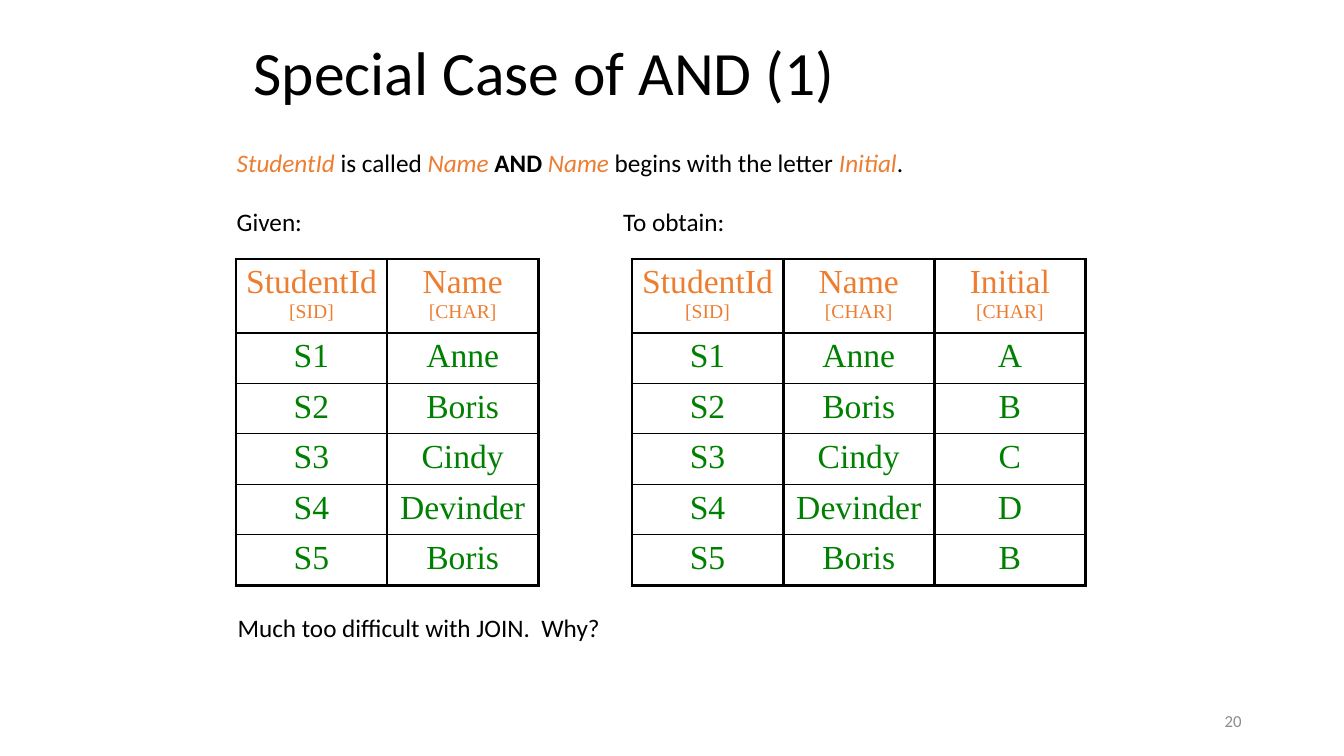
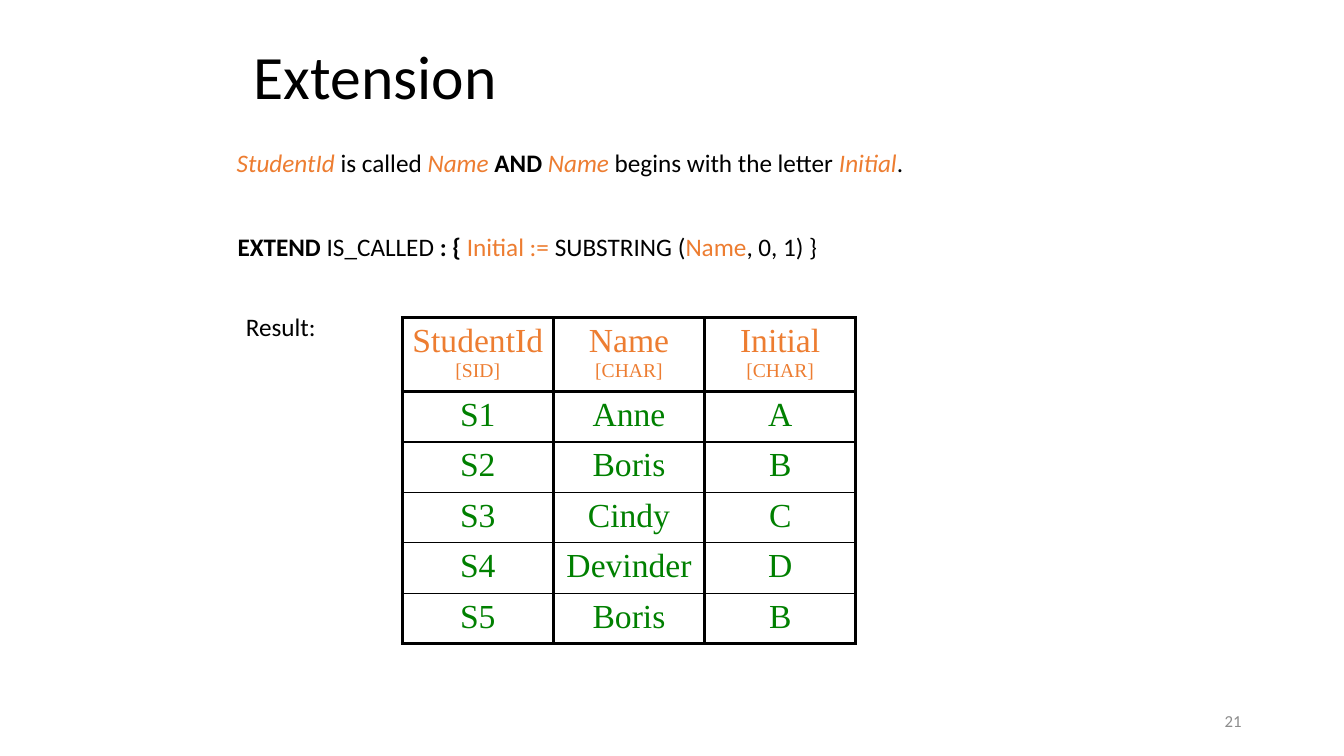
from dataclasses import dataclass
from typing import Any, NamedTuple

from pptx import Presentation
from pptx.dml.color import RGBColor
from pptx.enum.text import MSO_ANCHOR, MSO_AUTO_SIZE, PP_ALIGN
from pptx.oxml.ns import qn
from pptx.util import Length, Pt
from lxml.etree import SubElement

# Colours and fonts
BLACK = RGBColor(0x00, 0x00, 0x00)
ORANGE = RGBColor(0xED, 0x7D, 0x31)
GREEN = RGBColor(0x00, 0x80, 0x00)
GREY = RGBColor(0x8C, 0x8C, 0x8C)
SANS, SERIF = "Calibri", "Times New Roman"

# Table measures
COL, HEAD, ROW = Pt(108), Pt(52.7), Pt(36)
THICK, THIN = Pt(2.25), Pt(1)


class Span(NamedTuple):
    text: str
    color: RGBColor = BLACK
    bold: bool = False
    italic: bool = False


@dataclass
class Note:
    left: float
    top: float
    width: float
    spans: list[Span]
    wrap: bool = False


@dataclass
class Grid:
    left: float
    top: float
    count: int


@dataclass
class Page:
    title: str
    height: float
    notes: list[Note]
    grids: list[Grid]


# Shared content
FIELDS = [("StudentId", "[SID]"), ("Name", "[CHAR]"), ("Initial", "[CHAR]")]
NAMES = ["Anne", "Boris", "Cindy", "Devinder", "Boris"]
ROWS = [(f"S{i}", name, name[0]) for i, name in enumerate(NAMES, 1)]
CLAIM = Note(162, 102, 497, [
    Span("StudentId", ORANGE, italic=True),
    Span(" is called "),
    Span("Name ", ORANGE, italic=True),
    Span("AND ", bold=True),
    Span("Name", ORANGE, italic=True),
    Span(" begins with the letter "),
    Span("Initial", ORANGE, italic=True),
    Span("."),
])

PAGES = [
    Page("Special Case of AND (1)", 60, [
        CLAIM,
        Note(162, 144, 62, [Span("Given:")]),
        Note(438, 144, 88, [Span("To obtain:")]),
        Note(162.6, 434, 277, [Span("Much too difficult with JOIN.  Why?")]),
    ], [Grid(168.5, 185, 2), Grid(451.4, 185, 3)]),
    Page("Extension", 66, [
        CLAIM,
        Note(162.6, 162, 672, [
            Span("EXTEND", bold=True),
            Span(" IS_CALLED "),
            Span(": { ", bold=True),
            Span("Initial := ", ORANGE),
            Span("SUBSTRING ("),
            Span("Name", ORANGE),
            Span(", 0, 1) }"),
        ], wrap=True),
        Note(168.5, 219, 65, [Span("Result:")]),
    ], [Grid(287.3, 226.8, 3)]),
]


def apply(item: Any, values: dict[str, Any]) -> None:
    for key, value in values.items():
        setattr(item, key, value)


def add_run(para: Any, span: Span, size: float, face: str = SANS) -> None:
    run = para.add_run()
    run.text = span.text
    apply(run.font, {"name": face, "size": Pt(size),
                     "bold": span.bold, "italic": span.italic})
    run.font.color.rgb = span.color


def add_title(slide: Any, page: Page) -> None:
    title = slide.shapes.title
    apply(title, {"left": Pt(174), "top": Pt(24),
                  "width": Pt(612), "height": Pt(page.height)})
    apply(title.text_frame, {"vertical_anchor": MSO_ANCHOR.MIDDLE,
                             "word_wrap": True,
                             "auto_size": MSO_AUTO_SIZE.NONE})
    para = title.text_frame.paragraphs[0]
    apply(para, {"alignment": PP_ALIGN.LEFT, "line_spacing": 0.9})
    add_run(para, Span(page.title), 44)


def add_note(slide: Any, note: Note) -> None:
    box = slide.shapes.add_textbox(
        Pt(note.left), Pt(note.top), Pt(note.width), Pt(29))
    apply(box.text_frame, {"word_wrap": note.wrap,
                           "auto_size": MSO_AUTO_SIZE.SHAPE_TO_FIT_TEXT})
    for span in note.spans:
        add_run(box.text_frame.paragraphs[0], span, 18)


def add_number(slide: Any, number: int) -> None:
    box = slide.shapes.add_textbox(Pt(678), Pt(500.5), Pt(216), Pt(28.75))
    apply(box.text_frame, {"word_wrap": True,
                           "vertical_anchor": MSO_ANCHOR.MIDDLE})
    para = box.text_frame.paragraphs[0]
    para.alignment = PP_ALIGN.RIGHT
    add_run(para, Span(str(number), GREY), 12)


def add_edges(cell: Any, top: Length, base: Length) -> None:
    props = cell._tc.get_or_add_tcPr()
    edges = {"a:lnL": THICK, "a:lnR": THICK, "a:lnT": top, "a:lnB": base}
    for tag, width in edges.items():
        line = SubElement(props, qn(tag), w=str(int(width)))
        fill = SubElement(line, qn("a:solidFill"))
        SubElement(fill, qn("a:srgbClr"), val=str(BLACK))


def add_grid(slide: Any, grid: Grid) -> None:
    last = len(ROWS)
    table = slide.shapes.add_table(
        last + 1, grid.count, Pt(grid.left), Pt(grid.top),
        COL * grid.count, HEAD + ROW * last).table
    apply(table, {"first_row": False, "horz_banding": False})
    for col in table.columns:
        col.width = COL
    for i, row in enumerate(table.rows):
        row.height = ROW if i else HEAD
        for j, cell in enumerate(row.cells):
            # Thick lines frame the header and close the table
            add_edges(cell, THICK if i < 2 else THIN,
                      THICK if i in (0, last) else THIN)
            cell.fill.background()
            para = cell.text_frame.paragraphs[0]
            para.alignment = PP_ALIGN.CENTER
            if i:
                add_run(para, Span(ROWS[i - 1][j], GREEN), 24, SERIF)
            else:
                name, kind = FIELDS[j]
                add_run(para, Span(name, ORANGE), 24, SERIF)
                para.add_line_break()
                add_run(para, Span(kind, ORANGE), 14, SERIF)


def main() -> None:
    deck = Presentation()
    apply(deck, {"slide_width": Pt(960), "slide_height": Pt(540)})
    for number, page in enumerate(PAGES, 20):
        slide = deck.slides.add_slide(deck.slide_layouts[5])
        add_number(slide, number)
        add_title(slide, page)
        for note in page.notes:
            add_note(slide, note)
        for grid in page.grids:
            add_grid(slide, grid)
    deck.save("out.pptx")


if __name__ == "__main__":
    main()
